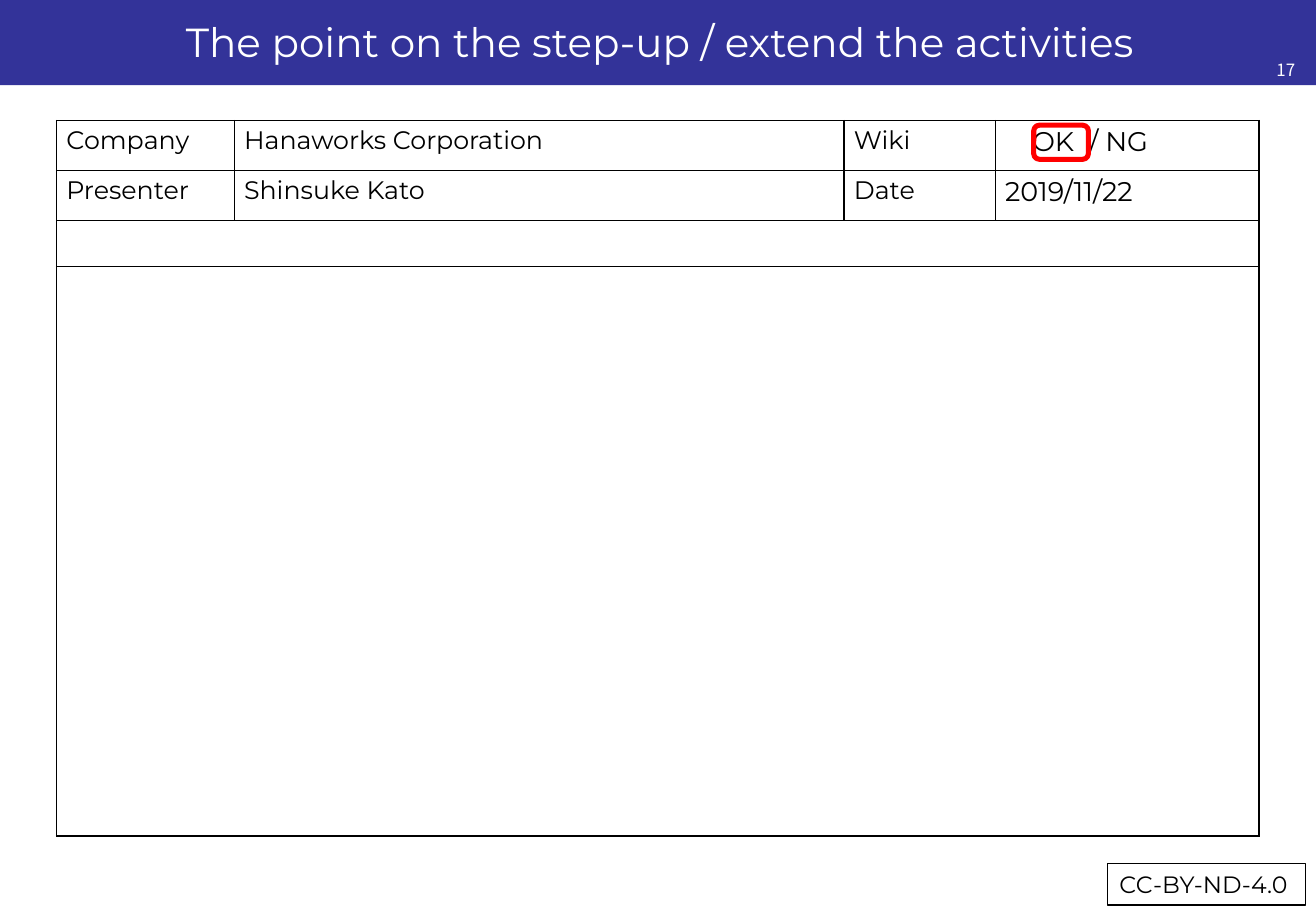
from lxml.etree import SubElement
from pptx import Presentation
from pptx.dml.color import RGBColor
from pptx.enum.shapes import MSO_SHAPE as Shape
from pptx.enum.text import MSO_ANCHOR as Anchor, PP_ALIGN as Align
from pptx.oxml.ns import qn
from pptx.util import Pt

TITLE = "The point on the step-up / extend the activities"
PAGE_NUMBER = "17"
LICENCE = "CC-BY-ND-4.0"
DETAILS = [
    ["Company", "Hanaworks Corporation", "Wiki", "OK\t/ NG"],
    ["Presenter", "Shinsuke Kato", "Date", "2019/11/22"],
]
COLUMN_WIDTHS = [105.3, 361.5, 89.7, 156.2]
ROW_HEIGHTS = [29.6, 29.6, 26, 337.6]
TABLE_LEFT, TABLE_TOP = 33.6, 71.5
CHOICE_INDENT, SLASH_TAB = 16, 33.8
MAIN_FONT, NUMBER_FONT = "Montserrat", "Noto Sans CJK JP"
BLACK, WHITE, NAVY, RED = "000000", "FFFFFF", "333399", "FF0000"


def color(value):
    return RGBColor.from_string(value)


def write(frame, text, size, ink, font=MAIN_FONT, align=Align.LEFT):
    frame.text = text
    para = frame.paragraphs[0]
    para.alignment = align
    for span in para.runs:
        span.font.size = Pt(size)
        span.font.name = font
        span.font.color.rgb = color(ink)


def add_shape(page, kind, place, fill=None, line=None, width=0):
    shape = page.shapes.add_shape(kind, *map(Pt, place))
    shape.shadow.inherit = False
    if fill:
        shape.fill.solid()
        shape.fill.fore_color.rgb = color(fill)
    else:
        shape.fill.background()
    if line:
        shape.line.color.rgb = color(line)
        shape.line.width = Pt(width)
    else:
        shape.line.fill.background()
    return shape


def add_text(page, place, anchor, *text):
    box = page.shapes.add_textbox(*map(Pt, place))
    box.text_frame.word_wrap = True
    box.text_frame.vertical_anchor = anchor
    write(box.text_frame, *text)


def style_cell(cell):
    """Give a cell its margins, black border and white fill."""
    cell.margin_left = cell.margin_right = Pt(5.8)
    cell.margin_top = cell.margin_bottom = Pt(2.9)
    properties = cell._tc.get_or_add_tcPr()
    for side in ("lnL", "lnR", "lnT", "lnB"):
        border = SubElement(properties, qn(f"a:{side}"), w=str(Pt(1)))
        fill = SubElement(border, qn("a:solidFill"))
        SubElement(fill, qn("a:srgbClr"), val=BLACK)
    cell.fill.solid()
    cell.fill.fore_color.rgb = color(WHITE)


def add_details(page):
    size = sum(COLUMN_WIDTHS), sum(ROW_HEIGHTS)
    place = map(Pt, (TABLE_LEFT, TABLE_TOP, *size))
    table = page.shapes.add_table(len(ROW_HEIGHTS), len(COLUMN_WIDTHS), *place).table
    table.first_row = table.horz_banding = False
    for column, width in zip(table.columns, COLUMN_WIDTHS):
        column.width = Pt(width)
    for row, height in zip(table.rows, ROW_HEIGHTS):
        row.height = Pt(height)
    for cell in table.iter_cells():
        style_cell(cell)
    last = len(COLUMN_WIDTHS) - 1
    for row in range(len(DETAILS), len(ROW_HEIGHTS)):
        table.cell(row, 0).merge(table.cell(row, last))
    for row, texts in enumerate(DETAILS):
        for column, text in enumerate(texts):
            size = 16 if column == last else 15
            write(table.cell(row, column).text_frame, text, size, BLACK)
    choice = table.cell(0, last)
    choice.margin_left += Pt(CHOICE_INDENT)
    properties = choice.text_frame.paragraphs[0]._p.get_or_add_pPr()
    tabs = SubElement(properties, qn("a:tabLst"))
    SubElement(tabs, qn("a:tab"), pos=str(Pt(SLASH_TAB)), algn="l")


def main():
    deck = Presentation()
    deck.slide_width, deck.slide_height = Pt(780), Pt(540)
    page = deck.slides.add_slide(deck.slide_layouts[6])

    add_shape(page, Shape.RECTANGLE, (0, -1, 780, 51.5), NAVY)
    add_text(page, (40, 0, 702, 49), Anchor.MIDDLE,
             TITLE, 24, WHITE, MAIN_FONT, Align.CENTER)
    add_details(page)
    add_shape(page, Shape.ROUNDED_RECTANGLE, (612.7, 74.2, 32.4, 20.2),
              line=RED, width=3)
    add_text(page, (730.8, 31.7, 43.9, 18.7), Anchor.TOP,
             PAGE_NUMBER, 10, WHITE, NUMBER_FONT, Align.RIGHT)
    licence = add_shape(page, Shape.RECTANGLE, (656.4, 512, 117.4, 24.5),
                        WHITE, BLACK, 0.75)
    licence.text_frame.word_wrap = False
    licence.text_frame.vertical_anchor = Anchor.MIDDLE
    write(licence.text_frame, LICENCE, 14, BLACK)

    deck.save("out.pptx")


if __name__ == "__main__":
    main()
